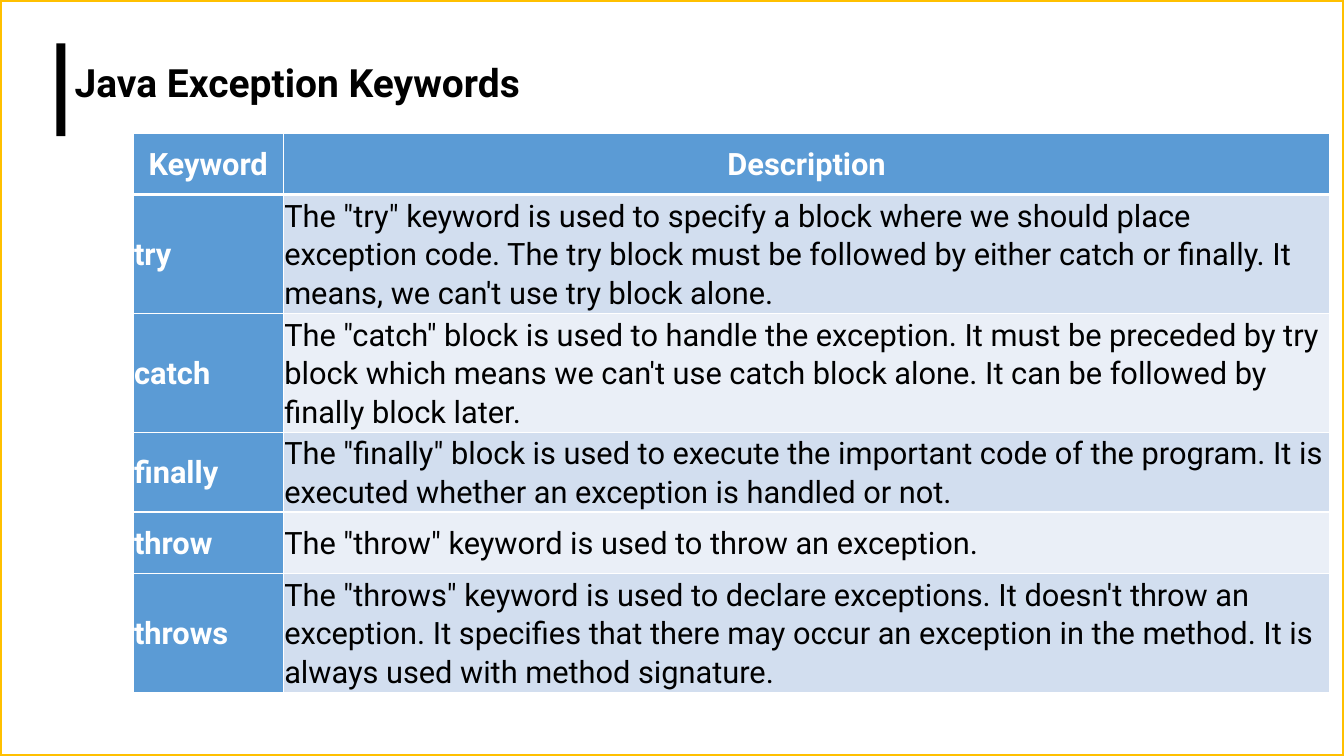
import pptx
import pptx.dml.color
import pptx.enum.shapes
import pptx.enum.text
import pptx.oxml
import pptx.oxml.ns
import pptx.util

PX = 9144  # 100 px to the inch
FONT = "Roboto"
BLUE, WHITE, BLACK = "5B9BD5", "FFFFFF", "000000"
BANDS = ["D2DEEF", "EAEFF7"]

COLUMNS = [149, 1038]
ROW_HEIGHTS = [61, 118, 118, 79, 61, 118]
ROWS = [
    ("Keyword", "Description"),
    ("try", "The \"try\" keyword is used to specify a block where we should place exception code. "
            "The try block must be followed by either catch or finally. It means, we can't use try block alone."),
    ("catch", "The \"catch\" block is used to handle the exception. It must be preceded by try block "
              "which means we can't use catch block alone. It can be followed by finally block later."),
    ("finally", "The \"finally\" block is used to execute the important code of the program. "
                "It is executed whether an exception is handled or not."),
    ("throw", "The \"throw\" keyword is used to throw an exception."),
    ("throws", "The \"throws\" keyword is used to declare exceptions. It doesn't throw an exception. "
               "It specifies that there may occur an exception in the method. "
               "It is always used with method signature."),
]


def px(n):
    return pptx.util.Emu(n * PX)


def rgb(color):
    return pptx.dml.color.RGBColor.from_string(color)


def style(p, size, color, bold):
    p.font.name = FONT
    p.font.size = pptx.util.Pt(size)
    p.font.bold = bold
    p.font.color.rgb = rgb(color)


def add_rect(s, box, fill, line=None, alpha=None):
    sp = s.shapes.add_shape(pptx.enum.shapes.MSO_SHAPE.RECTANGLE, *map(px, box))
    sp.shadow.inherit = False
    sp.fill.solid()
    sp.fill.fore_color.rgb = rgb(fill)
    if alpha:
        clr = sp.fill._xPr.find(".//" + pptx.oxml.ns.qn("a:srgbClr"))
        clr.append(pptx.oxml.parse_xml(
            f'<a:alpha {pptx.oxml.ns.nsdecls("a")} val="{alpha * 1000}"/>'))
    if line:
        sp.line.color.rgb = rgb(line)
        sp.line.width = pptx.util.Pt(3)
    else:
        sp.line.fill.background()
    return sp


def add_frame(s, box):
    # Page border; placed behind the title placeholder
    sp = add_rect(s, box, WHITE, "FFC000", 49)
    s.shapes._spTree.insert(2, sp._element)


def add_heading(s, box):
    x, y, w, h = box
    # Accent bar
    add_rect(s, (x, y, 9, 92), BLACK)
    # Title
    sp = s.shapes.title
    sp.left, sp.top, sp.width, sp.height = map(px, (x + 6, y + 19, w - 6, h))
    tf = sp.text_frame
    tf.word_wrap = True
    tf.auto_size = pptx.enum.text.MSO_AUTO_SIZE.NONE
    tf.vertical_anchor = pptx.enum.text.MSO_ANCHOR.BOTTOM
    tf.margin_left = tf.margin_right = px(12)
    tf.margin_top = tf.margin_bottom = px(6)
    p = tf.paragraphs[0]
    p.text = "Java Exception Keywords"
    p.alignment = pptx.enum.text.PP_ALIGN.LEFT
    p.line_spacing = 0.7
    style(p, 27.8, BLACK, True)


def set_borders(cell, bottom):
    tcPr = cell._tc.get_or_add_tcPr()
    for i, (side, width) in enumerate(zip("LRTB", (1, 1, 1, bottom))):
        tcPr.insert(i, pptx.oxml.parse_xml(
            f'<a:ln{side} {pptx.oxml.ns.nsdecls("a")} w="{width * 12700}">'
            f'<a:solidFill><a:srgbClr val="{WHITE}"/></a:solidFill></a:ln{side}>'))


def fill_cell(cell, text, row, col):
    header = row == 0
    strong = header or col == 0
    cell.fill.solid()
    cell.fill.fore_color.rgb = rgb(BLUE if strong else BANDS[(row - 1) % 2])
    cell.margin_left = cell.margin_right = cell.margin_top = cell.margin_bottom = px(1)
    cell.vertical_anchor = pptx.enum.text.MSO_ANCHOR.MIDDLE
    set_borders(cell, 3 if header else 1)
    p = cell.text_frame.paragraphs[0]
    p.text = text
    p.alignment = pptx.enum.text.PP_ALIGN.CENTER if header else pptx.enum.text.PP_ALIGN.LEFT
    p.line_spacing = 1.07
    style(p, 22, WHITE if strong else BLACK, strong)


def add_keyword_table(s, x, y):
    box = (x, y, sum(COLUMNS), sum(ROW_HEIGHTS))
    table = s.shapes.add_table(len(ROWS), len(COLUMNS), *map(px, box)).table
    for column, width in zip(table.columns, COLUMNS):
        column.width = px(width)
    for r, (height, texts) in enumerate(zip(ROW_HEIGHTS, ROWS)):
        table.rows[r].height = px(height)
        for c, text in enumerate(texts):
            fill_cell(table.cell(r, c), text, r, c)


def main():
    prs = pptx.Presentation()
    prs.slide_width, prs.slide_height = px(1333), px(750)
    s = prs.slides.add_slide(prs.slide_layouts[5])
    add_frame(s, (0, 0, 1333, 750))
    add_heading(s, (56, 43, 1166, 47))
    add_keyword_table(s, 132, 132)
    prs.save("out.pptx")


if __name__ == "__main__":
    main()
